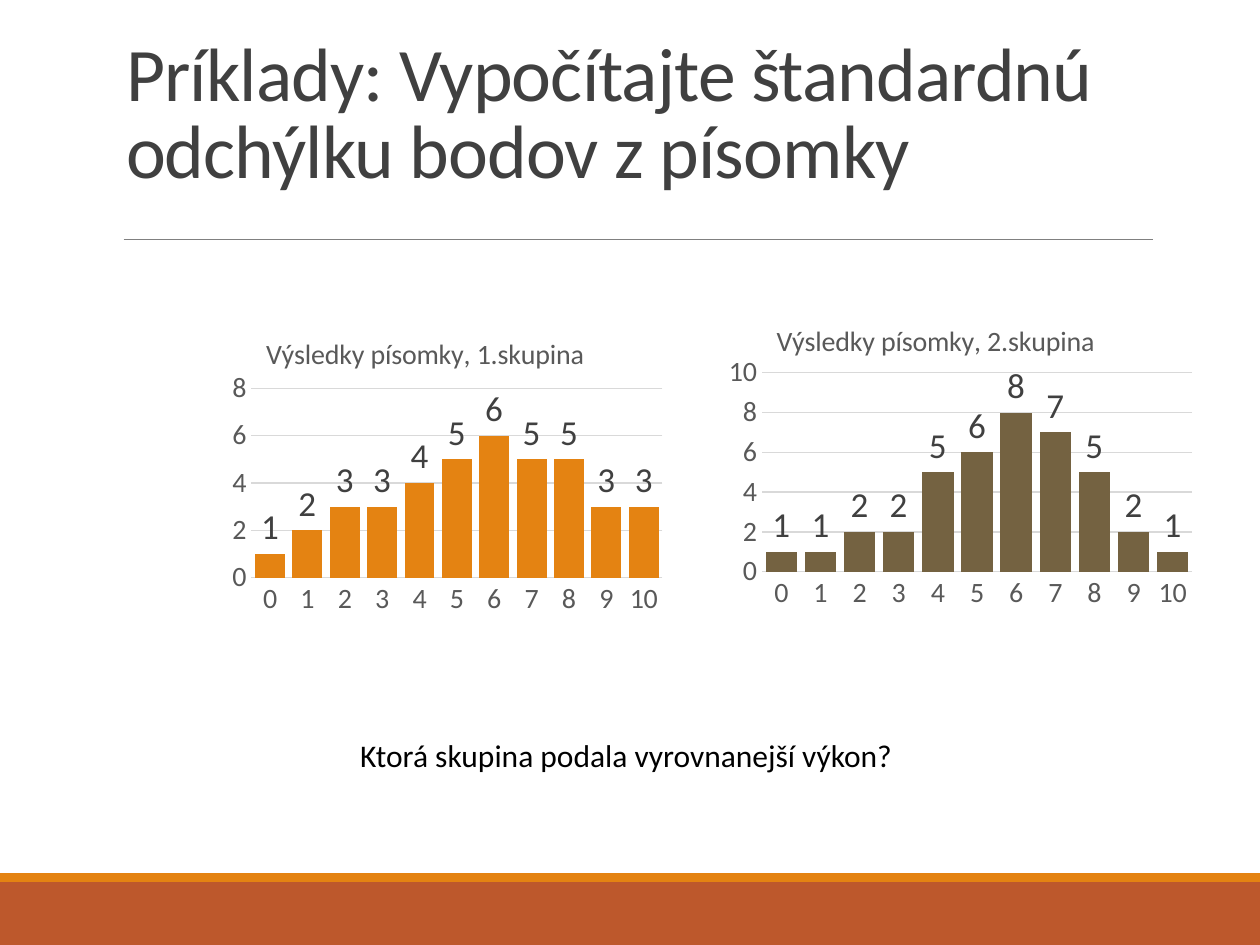
from collections import namedtuple

from lxml.etree import SubElement
from pptx import Presentation
from pptx.chart.data import CategoryChartData
from pptx.dml.color import RGBColor
from pptx.enum.chart import XL_CHART_TYPE as ChartType
from pptx.enum.chart import XL_LABEL_POSITION as LabelPosition
from pptx.enum.chart import XL_TICK_MARK as TickMark
from pptx.enum.shapes import MSO_CONNECTOR as Connector
from pptx.enum.shapes import MSO_SHAPE as Shape
from pptx.enum.text import MSO_ANCHOR as Anchor
from pptx.enum.text import MSO_AUTO_SIZE as AutoSize
from pptx.oxml import parse_xml
from pptx.oxml.ns import nsdecls, qn
from pptx.util import Cm, Pt

Box = namedtuple("Box", "left top width height")

FONT = "Calibri"
RUST = RGBColor(0xBD, 0x58, 0x2C)
ORANGE = RGBColor(0xE4, 0x83, 0x12)
BROWN = RGBColor(0x74, 0x62, 0x41)
BLACK = RGBColor(0x00, 0x00, 0x00)
DARK = RGBColor(0x40, 0x40, 0x40)
GREY = RGBColor(0x59, 0x59, 0x59)
RULE = RGBColor(0x80, 0x80, 0x80)
GRID = RGBColor(0xD9, 0xD9, 0xD9)


def format_font(font, size, color):
    font.name = FONT
    font.size = Pt(size)
    font.bold = False
    font.color.rgb = color


def write_text(frame, text, size=18, color=BLACK, line_spacing=None, tracking=None):
    para = frame.paragraphs[0]
    para.line_spacing = line_spacing
    span = para.add_run()
    span.text = text
    format_font(span.font, size, color)
    if tracking is not None:
        span.font._element.set("spc", str(tracking))


def place(shape, box):
    shape.left, shape.top, shape.width, shape.height = map(Cm, box)


def add_band(page, box, color):
    band = page.shapes.add_shape(Shape.RECTANGLE, *map(Cm, box))
    band.shadow.inherit = False
    band.fill.solid()
    band.fill.fore_color.rgb = color
    band.line.fill.background()


def add_footer(page, box, stripe=0.18):
    add_band(page, box._replace(top=box.top + stripe, height=box.height - stripe), RUST)
    add_band(page, box._replace(height=stripe), ORANGE)


def add_heading(page, box, text):
    title = page.shapes.title
    place(title, box)
    frame = title.text_frame
    frame.word_wrap = True
    frame.auto_size = AutoSize.NONE
    frame.vertical_anchor = Anchor.BOTTOM
    frame.margin_left = frame.margin_right = Cm(0.25)
    frame.margin_top = Cm(0.13)
    frame.margin_bottom = Cm(0.91)
    write_text(frame, text, size=43.2, color=DARK, line_spacing=0.85, tracking=-50)
    frame.paragraphs[0].alignment = 1

    bottom = Cm(box.top + box.height)
    rule = page.shapes.add_connector(
        Connector.STRAIGHT, Cm(box.left + 0.2), bottom, Cm(box.left + box.width), bottom)
    rule.line.color.rgb = RULE
    rule.line.width = Pt(0.5)
    SubElement(rule._element.spPr, qn("a:effectLst"))


def manual_layout(inner=False, **fractions):
    modes = {"xMode": "edge", "yMode": "edge"}
    target = {"layoutTarget": "inner"} if inner else {}
    parts = "".join(f'<c:{name} val="{value}"/>'
                    for name, value in {**target, **modes, **fractions}.items())
    return parse_xml(f'<c:layout {nsdecls("c")}><c:manualLayout>{parts}'
                     "</c:manualLayout></c:layout>")


def set_layout(parent, layout, index):
    for old in parent.findall(qn("c:layout")):
        parent.remove(old)
    parent.insert(index, layout)


def add_histogram(page, box, title, counts, color, maximum, plot):
    data = CategoryChartData()
    data.categories = [str(points) for points in range(len(counts))]
    data.add_series("Series 1", counts)
    chart = page.shapes.add_chart(
        ChartType.COLUMN_CLUSTERED, *map(Cm, box), data).chart
    format_font(chart.font, 10, BLACK)
    chart.has_legend = False
    chart.has_title = True
    write_text(chart.chart_title.text_frame, title, size=16, color=GREY)
    chart.chart_title.include_in_layout = False
    set_layout(chart.chart_title._element, manual_layout(x=0.11, y=0.08), 1)
    set_layout(chart._chartSpace.chart.plotArea, manual_layout(inner=True, **plot), 0)

    for axis in (chart.category_axis, chart.value_axis):
        axis.major_tick_mark = axis.minor_tick_mark = TickMark.NONE
        format_font(axis.tick_labels.font, 16, GREY)
    chart.category_axis.format.line.color.rgb = GRID
    chart.category_axis.format.line.width = Pt(0.75)
    values = chart.value_axis
    values.minimum_scale, values.maximum_scale, values.major_unit = 0, maximum, 2
    values.format.line.fill.background()
    values.major_gridlines.format.line.color.rgb = GRID
    values.major_gridlines.format.line.width = Pt(0.75)

    bars = chart.plots[0]
    bars.gap_width, bars.overlap, bars.vary_by_categories = 25, -27, False
    series = bars.series[0]
    series.format.fill.solid()
    series.format.fill.fore_color.rgb = color
    labels = series.data_labels
    labels.show_value = True
    labels.position = LabelPosition.OUTSIDE_END
    format_font(labels.font, 20, DARK)


def add_question(page, box, text):
    question = page.shapes.add_textbox(*map(Cm, box))
    question.text_frame.word_wrap = True
    question.text_frame.auto_size = AutoSize.SHAPE_TO_FIT_TEXT
    write_text(question.text_frame, text)


def main():
    deck = Presentation()
    deck.slide_width, deck.slide_height = Cm(25.4), Cm(19.05)
    page = deck.slides.add_slide(deck.slide_layouts[5])
    add_footer(page, Box(0, 17.6, 25.4, 1.45))
    add_heading(page, Box(2.29, 0.79, 20.95, 4.04),
                "Príklady: Vypočítajte štandardnú odchýlku bodov z písomky")
    add_histogram(page, Box(4.19, 6.12, 9.75, 6.58), "Výsledky písomky, 1.skupina",
                  (1, 2, 3, 3, 4, 5, 6, 5, 5, 3, 3), ORANGE, 8,
                  dict(x=0.09, y=0.26, w=0.85, h=0.58))
    add_histogram(page, Box(14.48, 5.87, 9.75, 6.58), "Výsledky písomky, 2.skupina",
                  (1, 1, 2, 2, 5, 6, 8, 7, 5, 2, 1), BROWN, 10,
                  dict(x=0.09, y=0.25, w=0.89, h=0.61))
    add_question(page, Box(7.01, 14.71, 15.06, 1.02),
                 "Ktorá skupina podala vyrovnanejší výkon?")
    deck.save("out.pptx")


if __name__ == "__main__":
    main()
